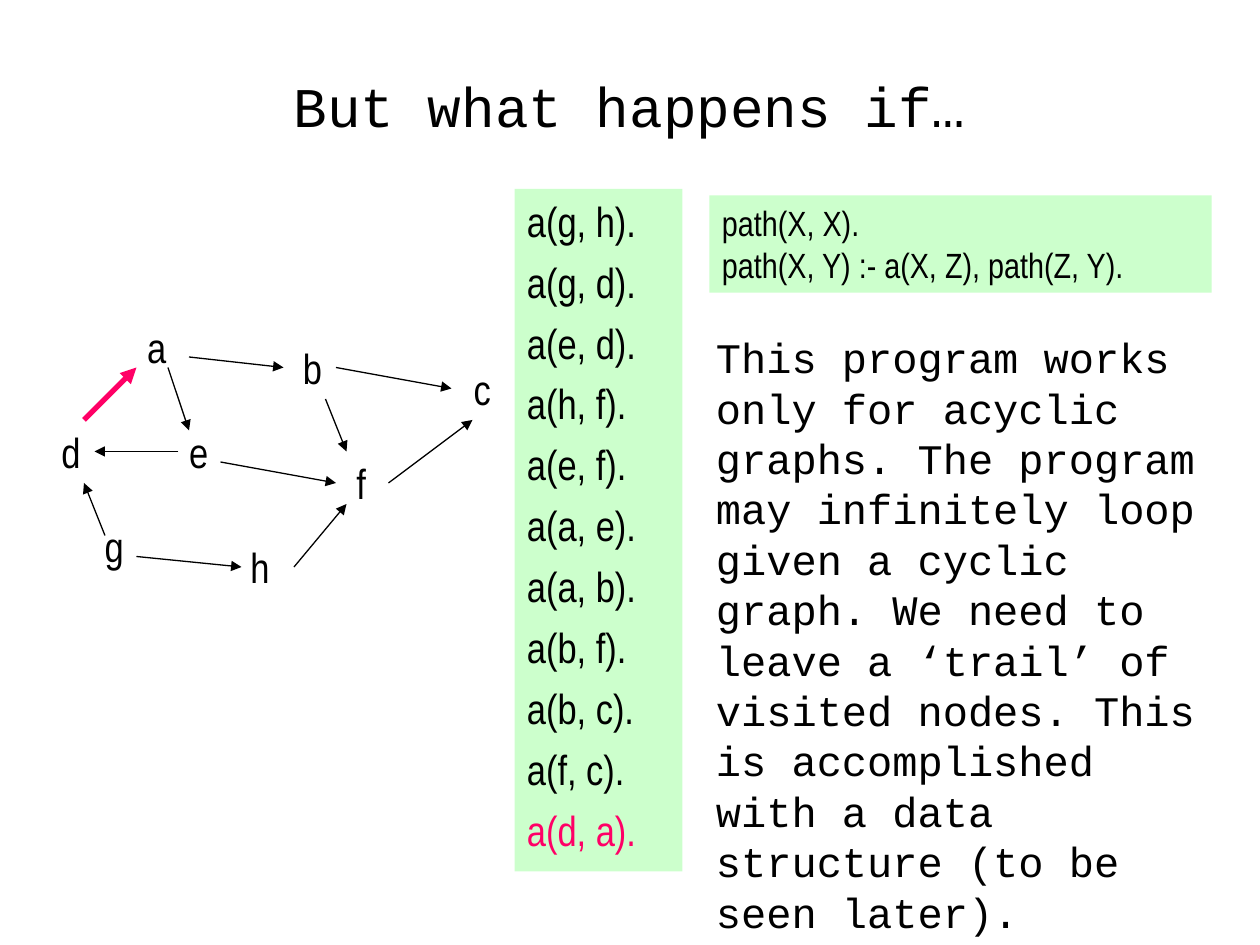
from typing import NamedTuple

from pptx import Presentation
from pptx.dml.color import RGBColor
from pptx.enum import shapes as kinds, text as txt
from pptx.oxml.ns import qn
from pptx.util import Pt
from lxml import etree

BLACK, PINK, GREEN = "000000", "FF0066", "CCFFCC"
SANS, MONO = "Arial Narrow", "Courier New"


class Node(NamedTuple):
    name: str
    left: float
    top: float
    width: float


class Edge(NamedTuple):
    start: tuple
    end: tuple
    color: str = BLACK
    weight: float = 0.75


NODES = [
    Node("a", 77, 180, 27.4), Node("e", 101, 240, 28),
    Node("d", 28, 240, 29), Node("g", 52.7, 294, 29),
    Node("h", 136, 306, 29), Node("f", 196.5, 258, 22.3),
    Node("c", 263.5, 204, 26), Node("b", 166, 192, 29),
]
EDGES = [
    Edge((186, 228), (198, 258)), Edge((96, 210), (108, 246)),
    Edge((102, 258), (54, 258)), Edge((60, 306), (48, 276)),
    Edge((78, 318), (138, 324)), Edge((168, 324), (198, 288)),
    Edge((126, 264), (192, 276)), Edge((108, 204), (162, 210)),
    Edge((192, 210), (258, 222)), Edge((222, 276), (270, 240)),
    Edge((48, 240), (78, 210), PINK, 3),
]
ARCS = ["gh", "gd", "ed", "hf", "ef", "ae", "ab", "bf", "bc", "fc", "da"]
RULES = "path(X, X).\npath(X, Y) :- a(X, Z), path(Z, Y)."
NOTE = (
    "This program works only for acyclic graphs. The program may "
    "infinitely loop given a cyclic graph. We need to leave a ‘trail’ of "
    "visited nodes. This is accomplished with a data structure (to be "
    "seen later)."
)


def rgb(color: str) -> RGBColor:
    return RGBColor.from_string(color)


def write(shape, words: str, size: float, font: str, wrap: bool = True,
          gap: float = 0, align=txt.PP_ALIGN.LEFT,
          anchor=txt.MSO_ANCHOR.TOP) -> None:
    frame = shape.text_frame
    frame.text = words
    frame.word_wrap = wrap
    frame.auto_size = txt.MSO_AUTO_SIZE.NONE
    frame.vertical_anchor = anchor
    for i, para in enumerate(frame.paragraphs):
        para.alignment = align
        para.space_before = Pt(gap if i else 0)
        for run in para.runs:
            run.font.size = Pt(size)
            run.font.name = font
            run.font.color.rgb = rgb(BLACK)


def add_text(slide, box: tuple, words: str, size: float, font: str,
             wrap: bool = True) -> None:
    shape = slide.shapes.add_textbox(*map(Pt, box))
    write(shape, words, size, font, wrap)


def add_panel(slide, box: tuple, words: str, size: float, gap: float = 0):
    shape = slide.shapes.add_shape(
        kinds.MSO_SHAPE.RECTANGLE, *map(Pt, box))
    shape.shadow.inherit = False
    shape.fill.solid()
    shape.fill.fore_color.rgb = rgb(GREEN)
    shape.line.fill.background()
    write(shape, words, size, SANS, gap=gap)
    return shape


def add_edge(slide, edge: Edge) -> None:
    line = slide.shapes.add_connector(
        kinds.MSO_CONNECTOR.STRAIGHT, *map(Pt, edge.start + edge.end))
    line.line.color.rgb = rgb(edge.color)
    line.line.width = Pt(edge.weight)
    tail = etree.SubElement(line.line._get_or_add_ln(), qn("a:tailEnd"))
    tail.set("type", "triangle")
    etree.SubElement(line._element.spPr, qn("a:effectLst"))


def main() -> None:
    deck = Presentation()
    deck.slide_width, deck.slide_height = Pt(720), Pt(540)
    slide = deck.slides.add_slide(deck.slide_layouts[5])

    title = slide.shapes.title
    title.left, title.top = Pt(54), Pt(24)
    title.width, title.height = Pt(612), Pt(72)
    write(title, "But what happens if…", 32, MONO,
          align=txt.PP_ALIGN.CENTER, anchor=txt.MSO_ANCHOR.MIDDLE)

    facts = "\n".join(f"a({x}, {y})." for x, y in ARCS)
    panel = add_panel(slide, (294, 108, 96, 390), facts, 24, gap=6)
    panel.text_frame.paragraphs[-1].runs[0].font.color.rgb = rgb(PINK)

    for node in NODES:
        box = (node.left, node.top, node.width, 36)
        add_text(slide, box, node.name, 24, SANS, wrap=False)
    for edge in EDGES:
        add_edge(slide, edge)

    add_panel(slide, (405.4, 111.6, 287, 55.6), RULES, 20)
    add_text(slide, (402, 186, 290, 295), NOTE, 24, MONO)
    deck.save("out.pptx")


if __name__ == "__main__":
    main()
